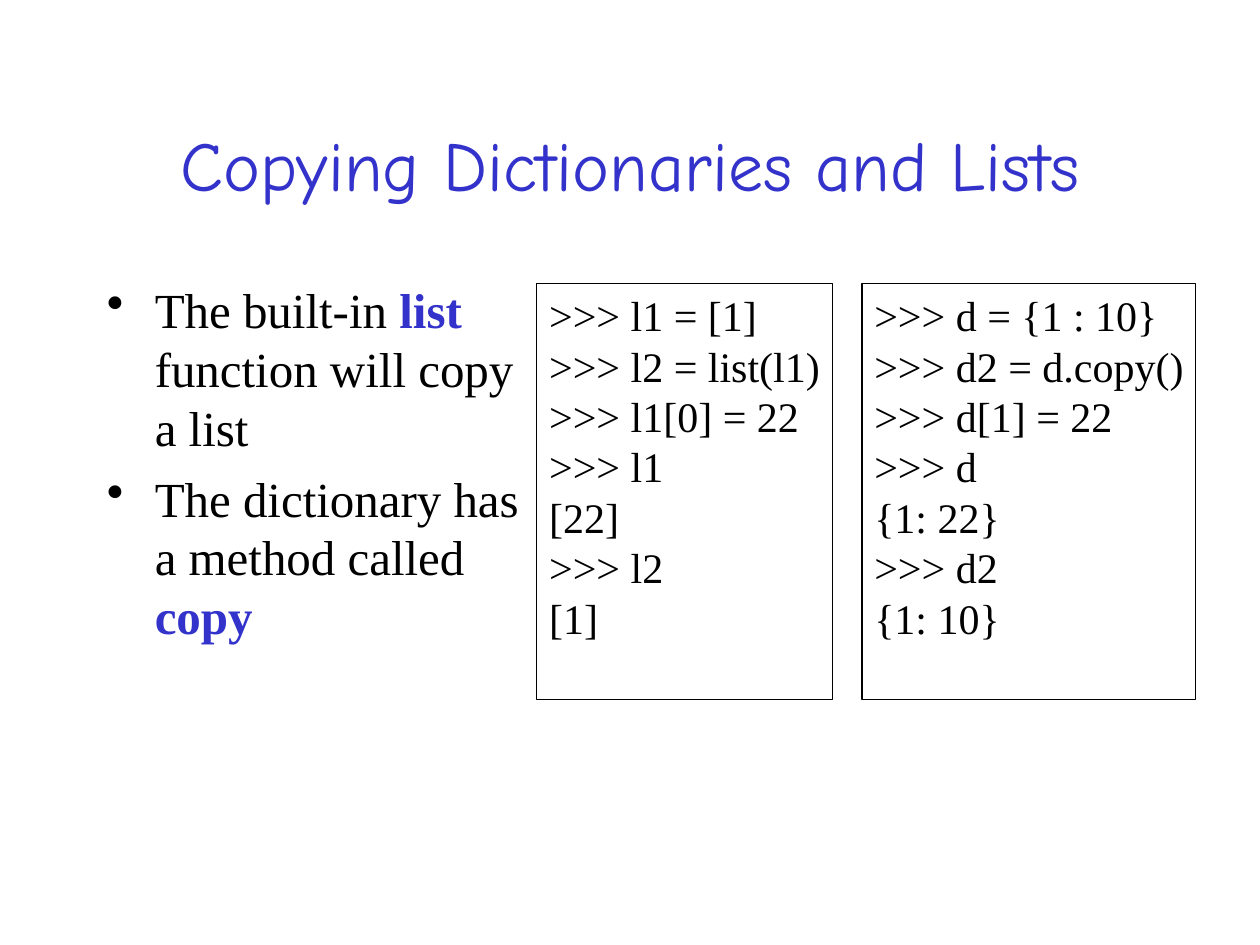
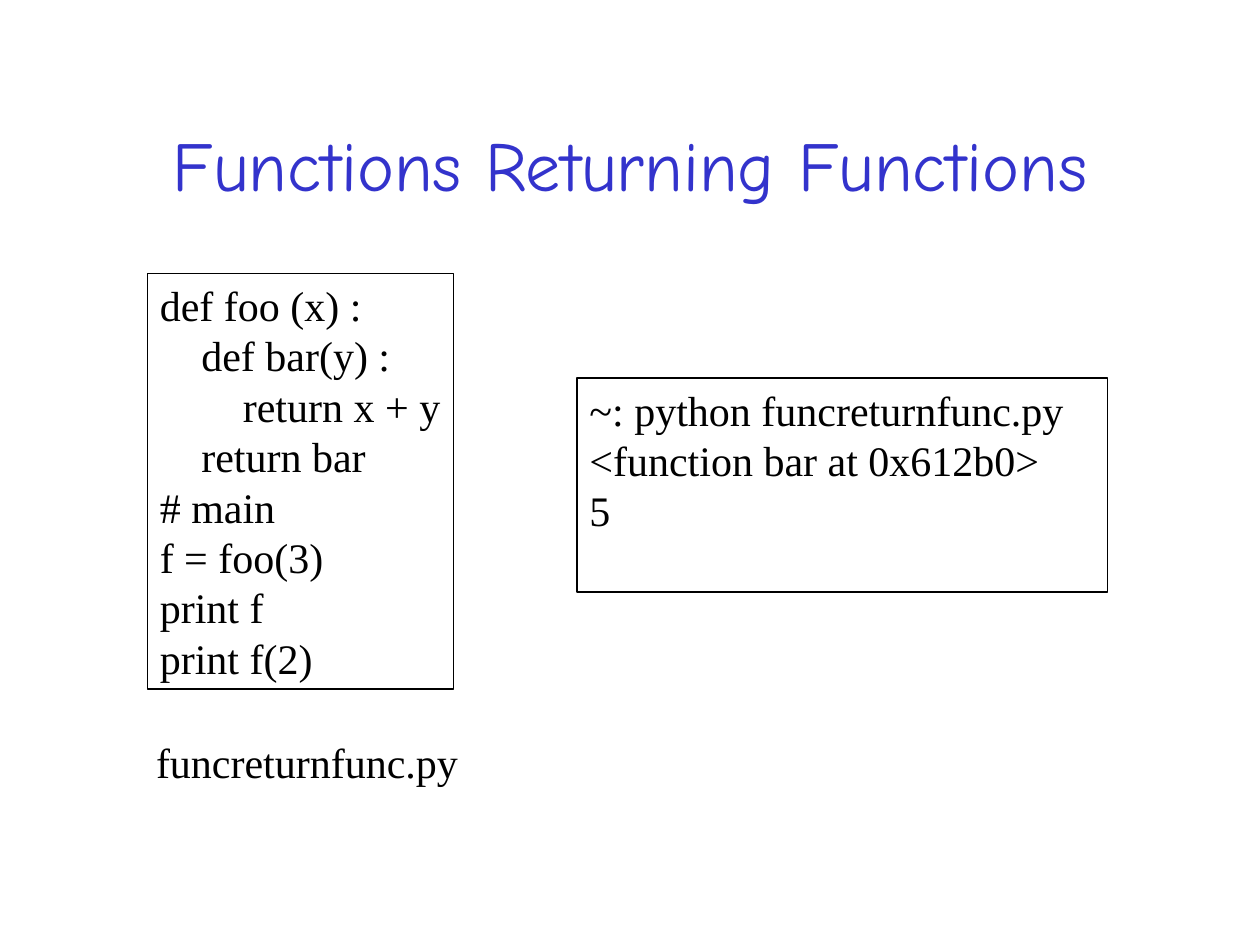
from pptx import Presentation
from pptx.dml.color import RGBColor
from pptx.enum.text import MSO_ANCHOR as Anchor, MSO_AUTO_SIZE as Fit, PP_ALIGN as Align
from pptx.oxml import parse_xml
from pptx.oxml.ns import nsdecls
from pptx.util import Inches, Pt

BLUE, BLACK = "3333CC", "000000"
SERIF, COMIC = "Times New Roman", "Comic Neue"
STEP = 0.33  # one level of code indent


def style(font, name, size, color, bold=False):
    font.name, font.size, font.bold = name, Pt(size), bold
    font.color.rgb = RGBColor.from_string(color)


def write(slide, text, at, size=24, edge=False, bullet=False):
    """Each line is a paragraph: four leading spaces indent it, *stars* mark a key word."""
    box = slide.shapes.add_textbox(*map(Inches, at))
    if edge:
        box.line.color.rgb = RGBColor.from_string(BLACK)
        box.line.width = Pt(0.75)
    frame = box.text_frame
    frame.word_wrap, frame.auto_size = True, Fit.NONE
    frame.margin_right = 0
    for i, line in enumerate(text.splitlines()):
        para = frame.paragraphs[0] if i == 0 else frame.add_paragraph()
        para.line_spacing = Pt(size * 1.2)
        code = line.lstrip()
        props = para._p.get_or_add_pPr()
        depth = (len(line) - len(code)) // 4
        props.set("marL", str(Inches(0.38 if bullet else depth * STEP)))
        if bullet:
            para.space_before = Pt(7)
            props.set("indent", str(Inches(-0.38)))
            props.append(parse_xml(f'<a:buChar {nsdecls("a")} char="•"/>'))
        for j, part in enumerate(code.split("*")):
            if part:
                run = para.add_run()
                run.text = part
                key = j % 2 == 1
                style(run.font, SERIF, size, BLUE if key else BLACK, key)


deck = Presentation()
deck.slide_width, deck.slide_height = Inches(10), Inches(7.5)

slides = []
for name in ("Copying Dictionaries and Lists", "Functions Returning Functions"):
    slide = deck.slides.add_slide(deck.slide_layouts[5])
    title = slide.shapes.title
    title.left, title.top, title.width, title.height = map(Inches, (0.75, 0.67, 8.5, 1.25))
    frame = title.text_frame
    frame.text = name
    frame.auto_size, frame.vertical_anchor = Fit.NONE, Anchor.MIDDLE
    para = frame.paragraphs[0]
    para.alignment = Align.CENTER
    style(para.runs[0].font, COMIC, 40, BLUE)
    slides.append(slide)
copying, nesting = slides

points = """The built-in *list* function will copy a list
The dictionary has a method called *copy*"""
write(copying, points, (0.75, 2.17, 3.42, 3.24), size=28, bullet=True)

lists = """>>> l1 = [1]
>>> l2 = list(l1)
>>> l1[0] = 22
>>> l1
[22]
>>> l2
[1]"""
write(copying, lists, (4.26, 2.25, 2.35, 3.3), edge=True)

dicts = """>>> d = {1 : 10}
>>> d2 = d.copy()
>>> d[1] = 22
>>> d
{1: 22}
>>> d2
{1: 10}"""
write(copying, dicts, (6.84, 2.25, 2.65, 3.3), edge=True)

code = """def foo (x) :
    def bar(y) :
        return x + y
    return bar
# main
f = foo(3)
print f
print f(2)"""
write(nesting, code, (1.17, 2.17, 2.43, 3.3), edge=True)

output = """~: python funcreturnfunc.py
<function bar at 0x612b0>
5"""
write(nesting, output, (4.58, 3, 4.21, 1.7), edge=True)
write(nesting, "funcreturnfunc.py", (1.14, 5.8, 2.6, 0.5))

deck.save("out.pptx")
